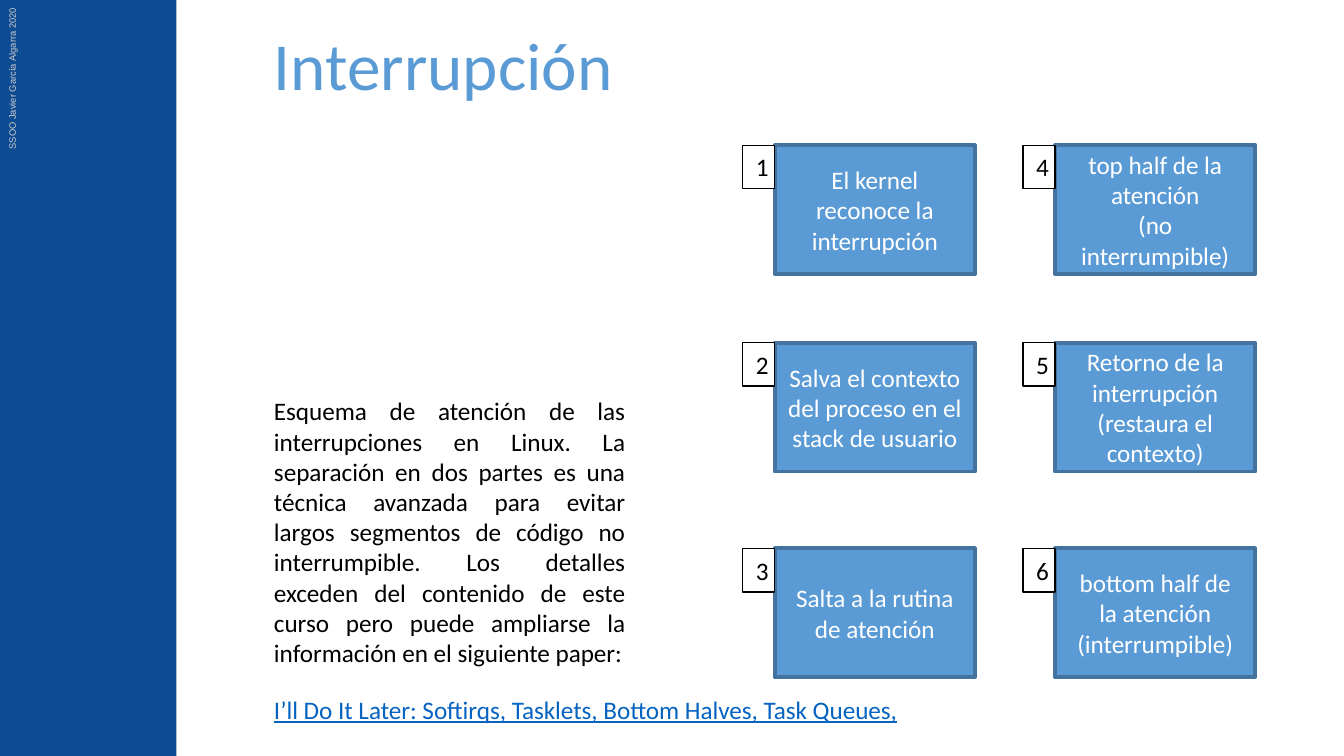
from pptx import Presentation
from pptx.dml.color import RGBColor
from pptx.enum.shapes import MSO_SHAPE
from pptx.enum.text import MSO_ANCHOR, PP_ALIGN
from pptx.util import Pt

NAVY = RGBColor(0x0D, 0x4B, 0x92)
BLUE = RGBColor(0x5B, 0x9B, 0xD5)
EDGE = RGBColor(0x43, 0x73, 0x9E)
LINK = RGBColor(0x05, 0x63, 0xC1)
GREY = RGBColor(0xD0, 0xCE, 0xCE)
BLACK = RGBColor(0, 0, 0)
WHITE = RGBColor(0xFF, 0xFF, 0xFF)

prs = Presentation()
prs.slide_width, prs.slide_height = Pt(720), Pt(405)
s = prs.slides.add_slide(prs.slide_layouts[6])


def write(sp, text, color, size=13.5, font="Calibri", align=PP_ALIGN.LEFT,
          anchor=MSO_ANCHOR.TOP, wrap=True):
    tf = sp.text_frame
    tf.text = text
    tf.word_wrap = wrap
    tf.vertical_anchor = anchor
    for p in tf.paragraphs:
        p.alignment = align
        for r in p.runs:
            r.font.name, r.font.size = font, Pt(size)
            r.font.color.rgb = color
    return tf


def add_rect(x, y, w, h, fill, line=None, width=0):
    sp = s.shapes.add_shape(MSO_SHAPE.RECTANGLE, Pt(x), Pt(y), Pt(w), Pt(h))
    sp.shadow.inherit = False
    sp.fill.solid()
    sp.fill.fore_color.rgb = fill
    if line is None:
        sp.line.fill.background()
    else:
        sp.line.color.rgb = line
        sp.line.width = Pt(width)
    return sp


# Side band with the course credit
add_rect(-0.5, 0, 95, 405, NAVY)
sp = s.shapes.add_textbox(Pt(-47.5), Pt(26), Pt(108.7), Pt(13.7))
sp.rotation = 270
write(sp, "SSOO Javier García Algarra 2020", GREY, 5, "Arial")

# Title
sp = s.shapes.add_textbox(Pt(139.7), Pt(18), Pt(555), Pt(41.8))
tf = write(sp, "Interrupción", BLUE, 36, anchor=MSO_ANCHOR.BOTTOM)
tf.paragraphs[0].line_spacing = 0.9

# Numbered steps, down each column in turn
STEPS = [
    "El kernel reconoce la interrupción",
    "Salva el contexto del proceso en el stack de usuario",
    "Salta a la rutina de atención",
    "top half de la atención\n(no interrumpible)",
    "Retorno de la interrupción (restaura el contexto)",
    "bottom half de la atención\n(interrumpible)",
]
COLUMNS = [415, 565.2]
ROWS = [77.8, 183.6, 293.8]
LABEL_W = 17.2

for i, step in enumerate(STEPS):
    x, y = COLUMNS[i // len(ROWS)], ROWS[i % len(ROWS)]
    box = add_rect(x, y, 107.3, 69.1, BLUE, EDGE, 2)
    write(box, step, WHITE, align=PP_ALIGN.CENTER, anchor=MSO_ANCHOR.MIDDLE)
    label = add_rect(x - LABEL_W, y, LABEL_W, 23.3, WHITE, BLACK, 0.75)
    write(label, str(i + 1), BLACK, wrap=False)

# Explanation and paper title
sp = s.shapes.add_textbox(Pt(139.7), Pt(208.4), Pt(202.3), Pt(152.6))
write(sp, "Esquema de atención de las interrupciones en Linux. La separación en "
      "dos partes es una técnica avanzada para evitar largos segmentos de "
      "código no interrumpible. Los detalles exceden del contenido de este "
      "curso pero puede ampliarse la información en el siguiente paper:",
      BLACK, align=PP_ALIGN.JUSTIFY)

sp = s.shapes.add_textbox(Pt(139.7), Pt(368.6), Pt(360.7), Pt(23.3))
tf = write(sp, "I’ll Do It Later: Softirqs, Tasklets, Bottom Halves, Task Queues,", LINK)
tf.paragraphs[0].runs[0].font.underline = True

prs.save("out.pptx")
